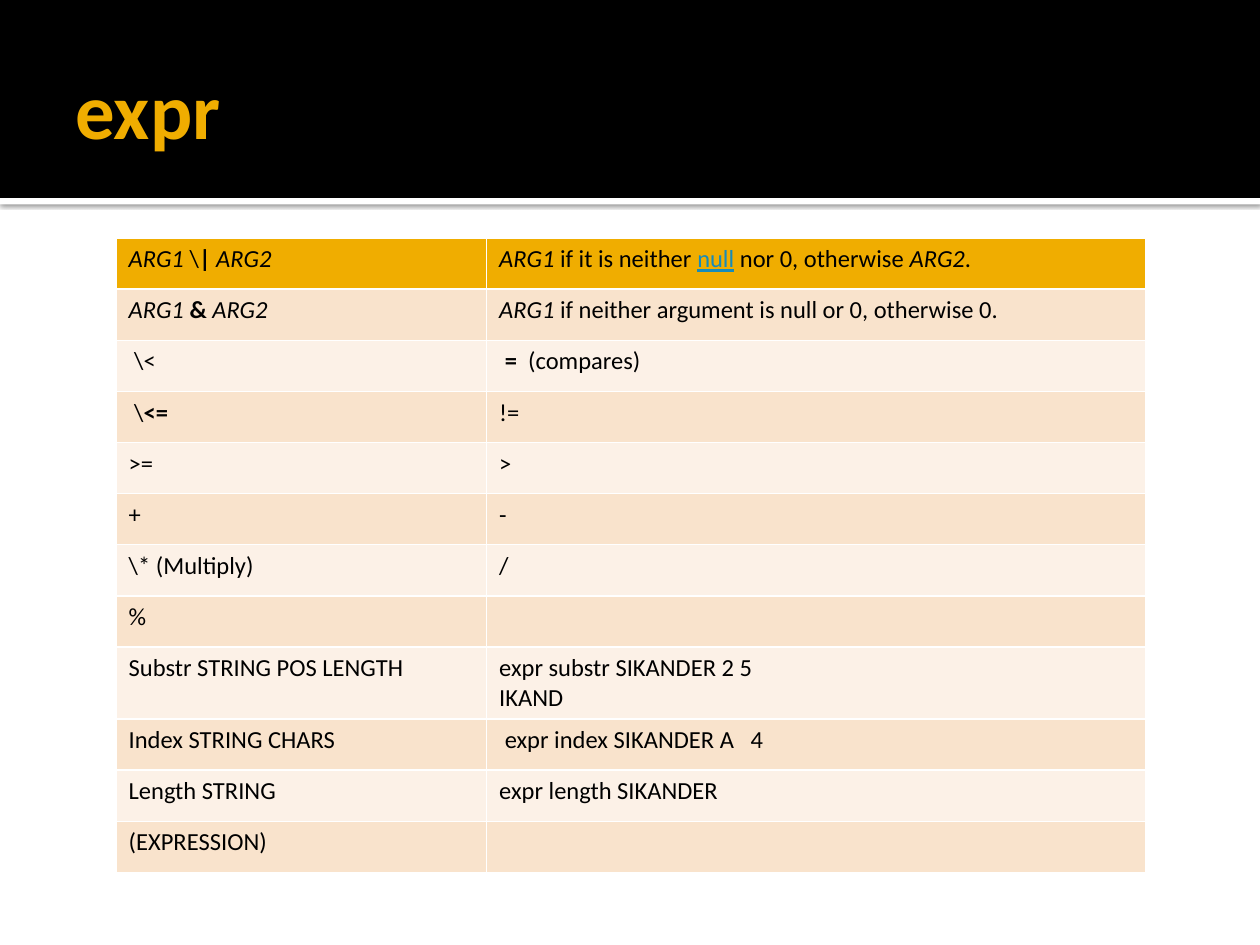
from dataclasses import dataclass

from lxml import etree
from pptx import Presentation
from pptx.dml.color import RGBColor
from pptx.enum.shapes import MSO_SHAPE
from pptx.enum.text import MSO_ANCHOR, PP_ALIGN
from pptx.oxml import parse_xml
from pptx.oxml.ns import nsdecls
from pptx.shapes.autoshape import Shape
from pptx.slide import Slide
from pptx.table import _Cell
from pptx.text.text import _Run
from pptx.util import Cm, Pt

RECTANGLE = MSO_SHAPE.RECTANGLE
MIDDLE = MSO_ANCHOR.MIDDLE
LEFT = PP_ALIGN.LEFT

BLACK = RGBColor(0x00, 0x00, 0x00)
WHITE = RGBColor(0xFF, 0xFF, 0xFF)
GOLD = RGBColor(0xF0, 0xAD, 0x00)
LINK_BLUE = RGBColor(0x16, 0x8B, 0xBA)
BAND_DARK = RGBColor(0xF9, 0xE3, 0xCC)
BAND_LIGHT = RGBColor(0xFC, 0xF1, 0xE7)

FONT = "Calibri"
TITLE_ONLY = 5
ROW_HEIGHT = Cm(1.03)
COLUMN_WIDTHS = (Cm(7.47), Cm(13.28))


@dataclass(frozen=True)
class Bar:
    top: float
    height: float
    color: RGBColor


@dataclass(frozen=True)
class Span:
    text: str
    bold: bool = False
    italic: bool = False
    underline: bool = False
    color: RGBColor = BLACK


BARS = (Bar(3.99, 0.13, WHITE), Bar(0, 3.99, BLACK))

ARG1 = Span("ARG1", italic=True)
ARG2 = Span("ARG2", italic=True)

# A cell is a list of paragraphs; a paragraph is plain text or a tuple of spans.
ROWS = (
    ([(ARG1, Span(" \\"), Span("| ", bold=True), ARG2)],
     [(ARG1, Span(" if it is neither "),
       Span("null", underline=True, color=LINK_BLUE),
       Span(" nor 0, otherwise "), ARG2, Span("."))]),
    ([(Span("ARG1 ", italic=True), Span("& ", bold=True), ARG2)],
     [(ARG1, Span(" if neither argument is null or 0, otherwise 0."))]),
    ([" \\< "], [(Span(" "), Span("=  ", bold=True), Span("(compares)"))]),
    ([(Span(" \\"), Span("<= ", bold=True))], ["!="]),
    ([">="], [">"]),
    (["+"], ["-"]),
    (["\\* (Multiply)"], ["/"]),
    (["%"], []),
    (["Substr STRING POS LENGTH"], ["expr substr SIKANDER 2 5", "IKAND"]),
    (["Index STRING CHARS"], [" expr index SIKANDER A   4"]),
    (["Length STRING"], ["expr length SIKANDER"]),
    (["(EXPRESSION)"], []),
)


def format_run(run: _Run, size: float, color: RGBColor, **styles: bool) -> None:
    values = {"name": FONT, "size": Pt(size), **styles}
    for name, value in values.items():
        setattr(run.font, name, value)
    run.font.color.rgb = color


def add_bar(slide: Slide, bar: Bar) -> Shape:
    shape = slide.shapes.add_shape(
        RECTANGLE, 0, Cm(bar.top), Cm(25.4), Cm(bar.height))
    shape.shadow.inherit = False
    shape.fill.solid()
    shape.fill.fore_color.rgb = bar.color
    shape.line.fill.background()
    return shape


def add_soft_shadow(shape: Shape) -> None:
    effects = shape.element.spPr.find(
        "{http://schemas.openxmlformats.org/drawingml/2006/main}effectLst")
    shadow = parse_xml(
        f'<a:outerShdw {nsdecls("a")} blurRad="{Pt(2.5)}" dist="{Pt(0.8)}" '
        'dir="5400000" algn="t" rotWithShape="0"/>')
    color = etree.SubElement(shadow, shadow.tag.replace("outerShdw", "srgbClr"), val="000000")
    etree.SubElement(color, shadow.tag.replace("outerShdw", "alpha"), val="60000")
    effects.append(shadow)


def set_title(slide: Slide, text: str) -> None:
    title = slide.shapes.title
    place = {"left": Cm(1.27), "top": Cm(0.43), "width": Cm(22.86), "height": Cm(3.48)}
    for name, value in place.items():
        setattr(title, name, value)
    frame = title.text_frame
    layout = {"vertical_anchor": MIDDLE, "margin_left": Cm(0.25), "margin_right": Cm(0.13)}
    for name, value in layout.items():
        setattr(frame, name, value)
    para = frame.paragraphs[0]
    para.alignment = LEFT
    run = para.add_run()
    run.text = text
    format_run(run, 45, GOLD, bold=True)


def fill_cell(cell: _Cell, content: list, color: RGBColor) -> None:
    cell.fill.solid()
    cell.fill.fore_color.rgb = color
    frame = cell.text_frame
    for index, line in enumerate(content):
        para = frame.add_paragraph() if index else frame.paragraphs[0]
        for span in (Span(line),) if isinstance(line, str) else line:
            run = para.add_run()
            run.text = span.text
            format_run(run, 14, span.color, bold=span.bold,
                       italic=span.italic, underline=span.underline)


def add_operator_table(slide: Slide) -> None:
    table = slide.shapes.add_table(
        len(ROWS), len(COLUMN_WIDTHS), Cm(2.34), Cm(4.8),
        sum(COLUMN_WIDTHS), ROW_HEIGHT * len(ROWS)).table
    for column, width in zip(table.columns, COLUMN_WIDTHS):
        column.width = width
    for index, contents in enumerate(ROWS):
        table.rows[index].height = ROW_HEIGHT
        band = BAND_DARK if index % 2 else BAND_LIGHT
        for column, content in enumerate(contents):
            fill_cell(table.cell(index, column), content, band if index else GOLD)


def main() -> None:
    deck = Presentation()
    deck.slide_width, deck.slide_height = Cm(25.4), Cm(19.05)
    slide = deck.slides.add_slide(deck.slide_layouts[TITLE_ONLY])
    strip, banner = [add_bar(slide, bar) for bar in BARS]
    add_soft_shadow(strip)
    for shape in (strip, banner):
        slide.shapes.title.element.addprevious(shape.element)
    set_title(slide, "expr")
    add_operator_table(slide)
    deck.save("out.pptx")


if __name__ == "__main__":
    main()
